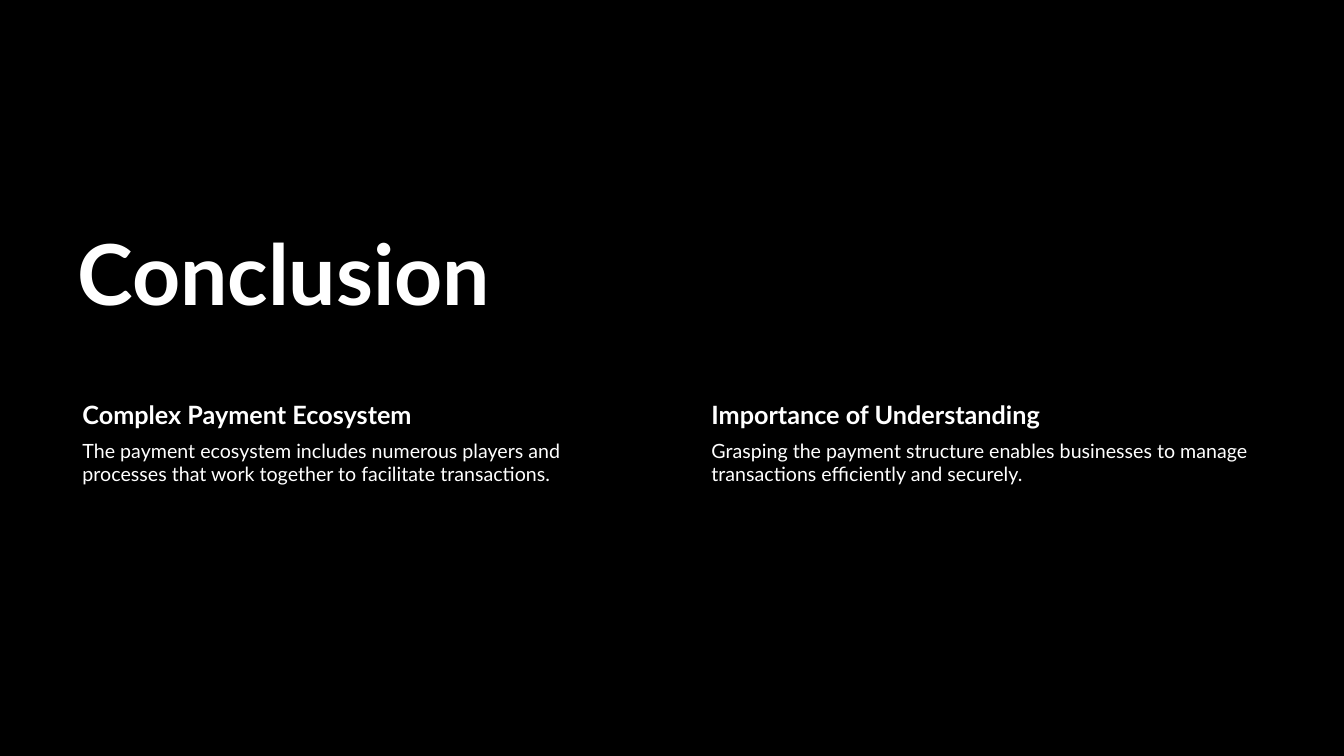
"""Build the conclusion slide: a title above two columns of text."""
from dataclasses import dataclass

from pptx import Presentation
from pptx.dml.color import RGBColor
from pptx.enum.text import MSO_ANCHOR
from pptx.slide import Slide
from pptx.util import Cm, Pt

TOP = MSO_ANCHOR.TOP
BOTTOM = MSO_ANCHOR.BOTTOM
FONT = "Lato"
BLACK = "000000"
WHITE = "FFFFFF"
LEFT = 1.7
STEP = 15.85
WIDTH = 14.4


@dataclass
class Style:
    size: int
    bold: bool
    pad: float
    inset: float
    anchor: MSO_ANCHOR = TOP
    lead: float = 1.0


@dataclass
class Column:
    head: str
    body: str


TITLE = Style(60, True, 0.25, 0.13, BOTTOM, 0.9)
HEAD = Style(18, True, 0.38, 0.08)
BODY = Style(14, False, 0.38, 0.05)

COLUMNS = [
    Column("Complex Payment Ecosystem",
           "The payment ecosystem includes numerous players and processes "
           "that work together to facilitate transactions."),
    Column("Importance of Understanding",
           "Grasping the payment structure enables businesses to manage "
           "transactions efficiently and securely."),
]


def color(value: str) -> RGBColor:
    return RGBColor.from_string(value)


def write(slide: Slide, text: str, style: Style, left: float, top: float,
          width: float, height: float) -> None:
    box = slide.shapes.add_textbox(Cm(left), Cm(top), Cm(width), Cm(height))
    frame = box.text_frame
    frame.word_wrap = True
    frame.vertical_anchor = style.anchor
    frame.margin_left = Cm(style.pad)
    frame.margin_right = frame.margin_top = frame.margin_bottom = Cm(style.inset)
    frame.text = text
    line = frame.paragraphs[0]
    line.line_spacing = style.lead
    font = line.runs[0].font
    font.name = FONT
    font.size = Pt(style.size)
    font.bold = style.bold
    font.color.rgb = color(WHITE)


def main() -> None:
    deck = Presentation()
    deck.slide_width = Cm(33.87)
    deck.slide_height = Cm(19.05)
    slide = deck.slides.add_slide(deck.slide_layouts[6])
    fill = slide.background.fill
    fill.solid()
    fill.fore_color.rgb = color(BLACK)

    write(slide, "Conclusion", TITLE, LEFT, 5.13, 20.4, 3.15)
    for index, column in enumerate(COLUMNS):
        left = LEFT + index * STEP
        write(slide, column.head, HEAD, left, 9.98, WIDTH, 1.02)
        write(slide, column.body, BODY, left, 11, WIDTH, 5.92)

    deck.save("out.pptx")


if __name__ == "__main__":
    main()
